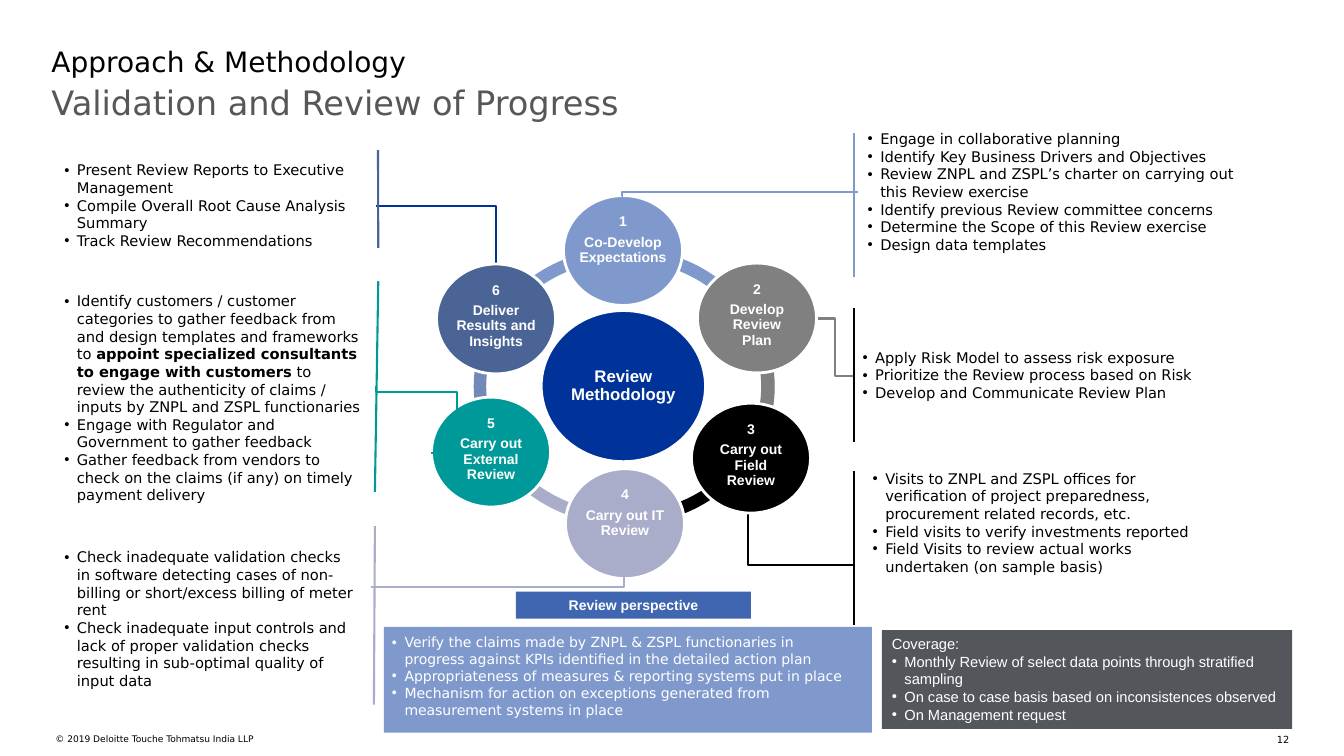
from dataclasses import dataclass

from lxml import etree
from pptx import Presentation
from pptx.dml.color import RGBColor
from pptx.enum.shapes import MSO_CONNECTOR, MSO_SHAPE
from pptx.enum.text import MSO_ANCHOR, MSO_AUTO_SIZE, PP_ALIGN
from pptx.oxml.ns import qn
from pptx.util import Pt

STRAIGHT, ELBOW = MSO_CONNECTOR.STRAIGHT, MSO_CONNECTOR.ELBOW
OVAL, BLOCK_ARC, RECTANGLE = MSO_SHAPE.OVAL, MSO_SHAPE.BLOCK_ARC, MSO_SHAPE.RECTANGLE
TOP, MIDDLE = MSO_ANCHOR.TOP, MSO_ANCHOR.MIDDLE
LEFT, CENTER, RIGHT = PP_ALIGN.LEFT, PP_ALIGN.CENTER, PP_ALIGN.RIGHT
NO_FIT = MSO_AUTO_SIZE.NONE

Box = tuple[float, float, float, float]
Point = tuple[float, float]


@dataclass(frozen=True)
class Theme:
    body_font: str = "DejaVu Sans"
    diagram_font: str = "Arial"
    black: str = "000000"
    white: str = "FFFFFF"
    subtitle_gray: str = "575757"
    navy: str = "003399"
    sky: str = "8099CC"
    steel: str = "738AB9"
    gray: str = "808080"
    lilac: str = "AAADCA"
    teal: str = "009999"
    slate: str = "4B6496"
    banner_blue: str = "4066B2"
    charcoal: str = "53565A"
    title: float = 24
    heading: float = 20
    hub: float = 12
    body: float = 10.5
    label: float = 10
    page: float = 7
    copyright: float = 6.5


THEME = Theme()


@dataclass(frozen=True)
class TextStyle:
    size: float
    color: str = THEME.black
    font: str = THEME.body_font
    bold: bool = False
    align: PP_ALIGN = LEFT
    line_spacing: float | None = None
    space_after: float = 0


@dataclass(frozen=True)
class Step:
    label: str
    color: str
    left: float
    top: float
    side_inset: float = 1


@dataclass(frozen=True)
class Line:
    color: str
    start: Point
    end: Point
    bends: tuple[int, ...] = ()


@dataclass(frozen=True)
class Notes:
    box: Box
    items: tuple[str, ...]
    style: TextStyle = TextStyle(THEME.body)


# Content
HUB = TextStyle(THEME.hub, THEME.white, THEME.diagram_font, True, CENTER, 0.9)
STEP = TextStyle(THEME.label, THEME.white, THEME.diagram_font, True, CENTER, 0.9, 4)
BANNER = TextStyle(THEME.label, THEME.white, THEME.diagram_font, True, CENTER)
COVERAGE = TextStyle(THEME.body, THEME.white, THEME.diagram_font)
PERSPECTIVE = TextStyle(THEME.label, THEME.white)

STEP_WIDTH, STEP_HEIGHT = 85, 78.5
STEPS = (
    Step("Co-Develop Expectations", THEME.sky, 402.5, 139.7, -8),
    Step("Develop Review Plan", THEME.gray, 498.2, 187.9, 4),
    Step("Carry out Field Review", THEME.black, 493.9, 288),
    Step("Carry out IT Review", THEME.lilac, 403.9, 334.8),
    Step("Carry out External Review", THEME.teal, 308.2, 283.7),
    Step("Deliver Results and Insights", THEME.slate, 311.8, 188.6),
)
# Ring sectors run clockwise from 30 degrees
RING_BOX = (338.4, 177.1, 214.6, 198)
RING_COLORS = (THEME.black, THEME.lilac, THEME.steel, THEME.sky, THEME.sky, THEME.gray)
SECTOR = 360 / len(RING_COLORS)

LINES_BEHIND = (
    Line(THEME.navy, (354.2, 188.6), (268.6, 146.9), (-300,)),
    Line(THEME.gray, (583.2, 227.5), (609.1, 268.6), (50000,)),
    Line(THEME.black, (532.8, 352.1), (609.1, 403.9), (1800,)),
)
LINES_IN_FRONT = (
    Line(THEME.slate, (270, 107.3), (270.2, 177.1)),
    Line(THEME.teal, (270.2, 200.9), (267.8, 351.4)),
    Line(THEME.lilac, (267.8, 375.8), (267.1, 503.3)),
    Line(THEME.sky, (609.8, 95), (609.8, 198)),
    Line(THEME.black, (609.8, 336.2), (609.8, 446.4)),
    Line(THEME.black, (609.8, 220.3), (609.8, 315.4)),
    Line(THEME.lilac, (446.4, 400.3), (265, 419), (300,)),
    Line(THEME.sky, (445, 139.7), (612.7, 137.5), (-300,)),
    Line(THEME.teal, (308.2, 323.3), (268.6, 275.8), (-45400, 91700)),
)
STEP_NOTES = (
    Notes((38.9, 111.6, 229, 71.3), (
        "Present Review Reports to Executive Management",
        "Compile Overall Root Cause Analysis Summary",
        "Track Review Recommendations")),
    Notes((38.9, 205.2, 227.5, 173.5), (
        "Identify customers / customer categories to gather feedback from and design templates "
        "and frameworks to **appoint specialized consultants to engage with customers** to review "
        "the authenticity of claims / inputs by ZNPL and ZSPL functionaries",
        "Engage with Regulator and Government to gather feedback",
        "Gather feedback from vendors to check on the claims (if any) on timely payment delivery")),
    Notes((38.9, 388.1, 223.2, 109.4), (
        "Check inadequate validation checks in software detecting cases of non-billing or "
        "short/excess billing of meter rent",
        "Check inadequate input controls and lack of proper validation checks resulting in "
        "sub-optimal quality of input data")),
    Notes((612.7, 89.3, 288, 97.2), (
        "Engage in collaborative planning",
        "Identify Key Business Drivers and Objectives",
        "Review ZNPL and ZSPL’s charter on carrying out this Review exercise",
        "Identify previous Review committee concerns",
        "Determine the Scope of this Review exercise",
        "Design data templates")),
    Notes((609.1, 245.5, 271.4, 46.1), (
        "Apply Risk Model to assess risk exposure",
        "Prioritize the Review process based on Risk",
        "Develop and Communicate Review Plan")),
    Notes((616.3, 331.9, 247, 84.2), (
        "Visits to ZNPL and ZSPL offices for verification of project preparedness, procurement "
        "related records, etc.",
        "Field visits to verify investments reported",
        "Field Visits to review actual works undertaken (on sample basis)")),
)
PERSPECTIVE_NOTES = Notes((272.9, 449.3, 342.7, 68.4), (
    "Verify the claims made by ZNPL & ZSPL functionaries in progress against KPIs identified "
    "in the detailed action plan",
    "Appropriateness of measures & reporting systems put in place",
    "Mechanism for action on exceptions generated from measurement systems in place"), PERSPECTIVE)
COVERAGE_ITEMS = (
    "Monthly Review of select data points through stratified sampling",
    "On case to case basis based on inconsistences observed",
    "On Management request",
)


def points(values: Box) -> list[Pt]:
    return [Pt(value) for value in values]


def write(shape, texts: tuple[str, ...], style: TextStyle, insets: Point = (7.2, 3.6),
          anchor: MSO_ANCHOR = TOP, first_bullet: int | None = None) -> None:
    """Fill a shape with paragraphs; ** marks bold, bullets start at first_bullet."""
    frame, (side, end) = shape.text_frame, insets
    frame_format = {"word_wrap": True, "auto_size": NO_FIT, "vertical_anchor": anchor,
                    "margin_left": Pt(side), "margin_right": Pt(side),
                    "margin_top": Pt(end), "margin_bottom": Pt(end)}
    for name, value in frame_format.items():
        setattr(frame, name, value)
    for index, text in enumerate(texts):
        paragraph = frame.add_paragraph() if index else frame.paragraphs[0]
        paragraph_format = {"alignment": style.align, "line_spacing": style.line_spacing,
                            "space_before": Pt(0), "space_after": Pt(style.space_after)}
        for name, value in paragraph_format.items():
            setattr(paragraph, name, value)
        if first_bullet is not None and index >= first_bullet:
            properties = paragraph._p.get_or_add_pPr()
            properties.set("marL", str(Pt(9)))
            properties.set("indent", str(Pt(-9)))
            etree.SubElement(properties, qn("a:buFont")).set("typeface", "Arial")
            etree.SubElement(properties, qn("a:buChar")).set("char", "•")
        for part, words in enumerate(text.split("**")):
            run = paragraph.add_run()
            run.text = words
            run_format = {"name": style.font, "size": Pt(style.size),
                          "bold": style.bold or part % 2 == 1}
            for name, value in run_format.items():
                setattr(run.font, name, value)
            run.font.color.rgb = RGBColor.from_string(style.color)


def add_filled(slide, kind: MSO_SHAPE, box: Box, fill: str, outline: str = "", width: float = 2):
    shape = slide.shapes.add_shape(kind, *points(box))
    shape.shadow.inherit = False
    shape.fill.solid()
    shape.fill.fore_color.rgb = RGBColor.from_string(fill)
    if outline:
        shape.line.color.rgb = RGBColor.from_string(outline)
        shape.line.width = Pt(width)
    else:
        shape.line.fill.background()
    return shape


def add_line(slide, line: Line) -> None:
    connector = slide.shapes.add_connector(
        ELBOW if line.bends else STRAIGHT, *points(line.start + line.end))
    connector.line.color.rgb = RGBColor.from_string(line.color)
    connector.line.width = Pt(1.5)
    properties = connector._element.spPr
    etree.SubElement(properties, qn("a:effectLst"))
    if line.bends:
        geometry = properties.find(qn("a:prstGeom"))
        geometry.set("prst", f"bentConnector{len(line.bends) + 2}")
        guides = geometry.find(qn("a:avLst"))
        for number, bend in enumerate(line.bends, 1):
            guide = etree.SubElement(guides, qn("a:gd"))
            guide.set("name", f"adj{number}")
            guide.set("fmla", f"val {bend}")


def add_text(slide, box: Box, text: str, style: TextStyle) -> None:
    write(slide.shapes.add_textbox(*points(box)), (text,), style, (0, 0))


def add_notes(slide, notes: Notes) -> None:
    write(slide.shapes.add_textbox(*points(notes.box)), notes.items, notes.style, first_bullet=0)


def add_wheel(slide) -> None:
    for index, color in enumerate(RING_COLORS):
        start = 30 + index * SECTOR
        outline = THEME.gray if color == THEME.gray else ""
        arc = add_filled(slide, BLOCK_ARC, RING_BOX, color, outline, 0.75)
        # Angles count in 60000ths of a degree, adjustments in 100000ths
        for position, value in enumerate((start * 0.6, (start + SECTOR) % 360 * 0.6, 0.045)):
            arc.adjustments[position] = value
    hub = add_filled(slide, OVAL, (386.6, 221.8, 117.4, 108), THEME.navy, THEME.white)
    write(hub, ("Review Methodology",), HUB, (2, 2), MIDDLE)
    for number, step in enumerate(STEPS, 1):
        box = (step.left, step.top, STEP_WIDTH, STEP_HEIGHT)
        circle = add_filled(slide, OVAL, box, step.color, THEME.white)
        write(circle, (str(number), step.label), STEP, (step.side_inset, 2))


def main() -> None:
    deck = Presentation()
    deck.slide_width, deck.slide_height = Pt(960), Pt(540)
    slide = deck.slides.add_slide(deck.slide_layouts[5])

    # Headings and footer
    title = slide.shapes.title
    title.left, title.top, title.width, title.height = points((36.7, 58.3, 886.3, 59.8))
    write(title, ("Validation and Review of Progress",),
          TextStyle(THEME.title, THEME.subtitle_gray), (0, 0))
    add_text(slide, (36.7, 31.7, 886.3, 54.7), "Approach & Methodology", TextStyle(THEME.heading))
    add_text(slide, (39.6, 524.2, 421.9, 15.8), "© 2019 Deloitte Touche Tohmatsu India LLP",
             TextStyle(THEME.copyright))
    add_text(slide, (896.4, 524.2, 24.5, 7.9), "12", TextStyle(THEME.page, align=RIGHT))

    # Methodology wheel with its leader lines and notes
    for line in LINES_BEHIND:
        add_line(slide, line)
    add_wheel(slide)
    for notes in STEP_NOTES:
        add_notes(slide, notes)
    for line in LINES_IN_FRONT:
        add_line(slide, line)

    # Review perspective and coverage panels
    add_filled(slide, RECTANGLE, (274.3, 447.8, 348.5, 75.6), THEME.sky)
    banner = add_filled(slide, RECTANGLE, (368.6, 422.6, 167.8, 19.4), THEME.banner_blue)
    write(banner, ("Review perspective",), BANNER, anchor=MIDDLE)
    add_notes(slide, PERSPECTIVE_NOTES)
    coverage = add_filled(slide, RECTANGLE, (630, 450, 293, 70.6), THEME.charcoal)
    write(coverage, ("Coverage:",) + COVERAGE_ITEMS, COVERAGE, first_bullet=1)

    deck.save("out.pptx")


if __name__ == "__main__":
    main()
